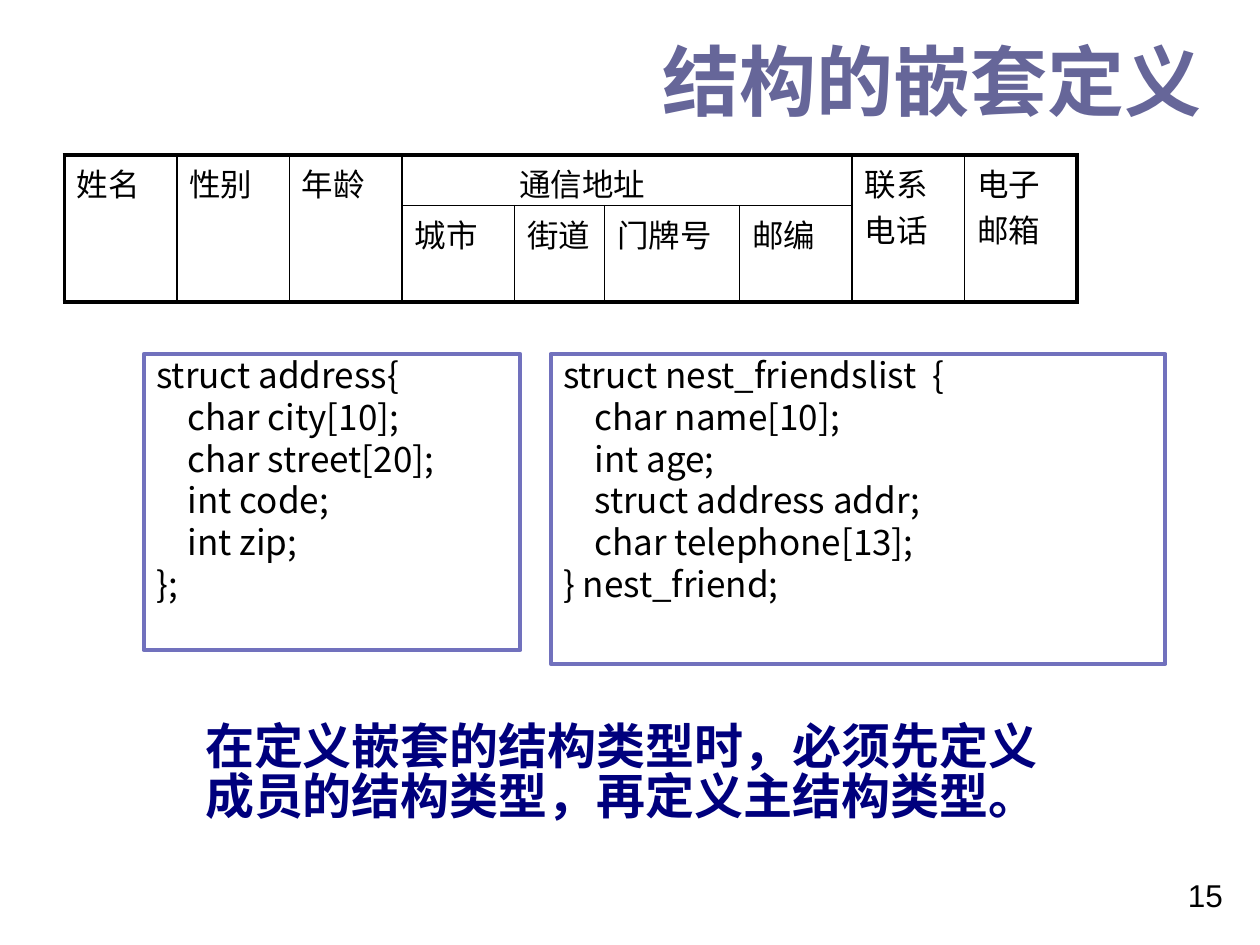
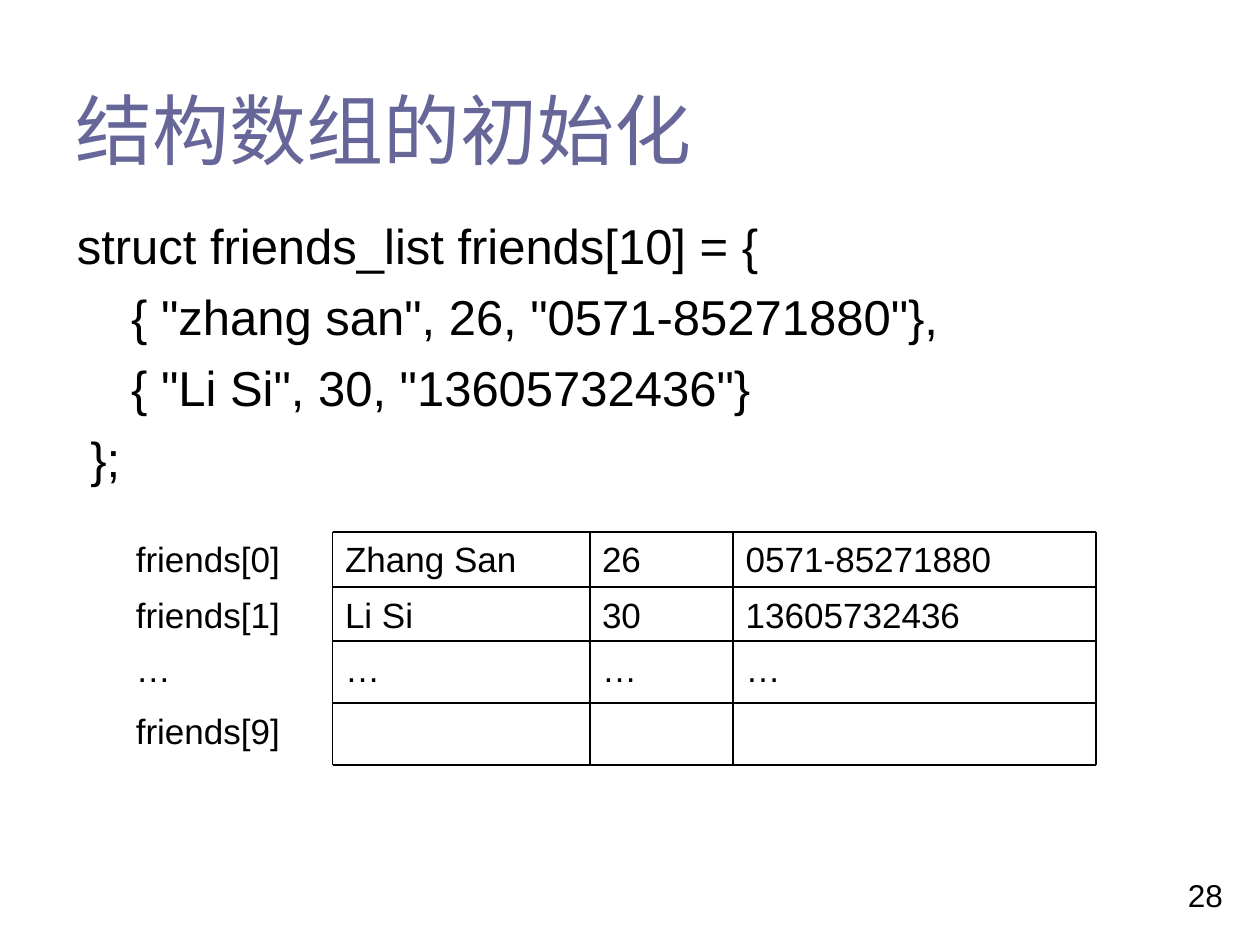
from lxml import etree
from pptx import Presentation
from pptx import util as u
from pptx.dml.color import RGBColor
from pptx.enum import shapes, text
from pptx.oxml.ns import qn

BLACK = RGBColor(0x00, 0x00, 0x00)
WHITE = RGBColor(0xFF, 0xFF, 0xFF)
TITLE_VIOLET = RGBColor(0x66, 0x66, 0x99)
FRAME_VIOLET = RGBColor(0x71, 0x71, 0xBD)
NOTICE_BLUE = RGBColor(0x00, 0x00, 0x7D)
LATIN, CJK = "Arial", "Noto Sans CJK SC"

TITLE = {"size": u.Pt(44), "name": LATIN, "color": TITLE_VIOLET}
LABEL = {"size": u.Pt(18), "name": LATIN, "color": BLACK}
RECORD = {"size": u.Pt(20), "name": LATIN, "color": BLACK}
CODE = {"size": u.Pt(20), "name": CJK, "color": BLACK}
BIG_CODE = {"size": u.Pt(28), "name": LATIN, "color": BLACK}
NOTICE = {"size": u.Pt(28), "name": CJK, "color": NOTICE_BLUE, "bold": True}

deck = Presentation()
deck.slide_width, deck.slide_height = u.Inches(10), u.Inches(7.5)
CELL = deck.slide_width // 100  # the page is a grid of 100 columns by 75 rows


def place(box, left, top, width, height):
    """Put a box on the page grid."""
    values = {"left": left, "top": top, "width": width, "height": height}
    for side, cells in values.items():
        setattr(box, side, round(cells * CELL))
    return box


def write(frame, lines, style, anchor=text.MSO_ANCHOR.TOP, gap=0, spacing=None):
    """Fill a text frame with unbulleted, left-aligned lines."""
    frame.word_wrap = True
    frame.auto_size = text.MSO_AUTO_SIZE.NONE
    frame.vertical_anchor = anchor
    for number, line in enumerate(lines):
        para = frame.add_paragraph() if number else frame.paragraphs[0]
        props = para._p.get_or_add_pPr()
        props.set("marL", "0")
        props.set("indent", "0")
        etree.SubElement(props, qn("a:buNone"))
        para.alignment = text.PP_ALIGN.LEFT
        para.space_before = u.Pt(gap if number else 0)
        if spacing:
            para.line_spacing = spacing
        span = para.add_run()
        span.text = line
        for key, value in style.items():
            if key == "color":
                span.font.color.rgb = value
            else:
                setattr(span.font, key, value)
        asian = etree.SubElement(span._r.get_or_add_rPr(), qn("a:ea"))
        asian.set("typeface", CJK)


# Titles and page numbers
pages = []
for heading, spot, bold, number in (
    ("结构的嵌套定义", (51.6, 2.1, 46.5, 8.5), True, "15"),
    ("结构数组的初始化", (5, 5, 84.4, 10.5), False, "28"),
):
    page = deck.slides.add_slide(deck.slide_layouts[1])
    title = place(page.shapes.title, *spot)
    write(title.text_frame, [heading], TITLE | {"bold": bold}, text.MSO_ANCHOR.MIDDLE)
    number_box = place(page.shapes.add_textbox(0, 0, 0, 0), 93.3, 69, 5.5, 4)
    write(number_box.text_frame, [number], LABEL)
    pages.append(page)
nested, initial = pages

# Nested structure: header table, as (label, row, column, rows, columns)
headings = (
    ("姓名", 0, 0, 2, 1), ("性别", 0, 1, 2, 1), ("年龄", 0, 2, 2, 1),
    ("通信地址", 0, 3, 1, 4), ("联系电话", 0, 7, 2, 1), ("电子邮箱", 0, 8, 2, 1),
    ("城市", 1, 3, 1, 1), ("街道", 1, 4, 1, 1), ("门牌号", 1, 5, 1, 1), ("邮编", 1, 6, 1, 1),
)
column_shares = (1, 1, 1, 1, 0.8, 1.2, 1, 1, 1)
row_cells = (4, 7)
row_count, column_count = len(row_cells), len(column_shares)
holder = nested.shapes.add_table(row_count, column_count, 0, 0, CELL, CELL)
place(holder, 5.1, 12.3, 80.4, sum(row_cells))
table = holder.table
table.first_row = table.horz_banding = False
for column, share in zip(table.columns, column_shares):
    column.width = round(80.4 * CELL * share / sum(column_shares))
for row, cells in zip(table.rows, row_cells):
    row.height = cells * CELL

for label, top, left, rows, columns in headings:
    bottom, right = top + rows, left + columns
    origin = table.cell(top, left)
    if rows * columns > 1:
        origin.merge(table.cell(bottom - 1, right - 1))
    edges = {
        "a:lnL": left == 0, "a:lnR": right == column_count,
        "a:lnT": top == 0, "a:lnB": bottom == row_count,
    }
    for r in range(top, bottom):
        for c in range(left, right):
            cell = table.cell(r, c)
            cell.margin_top, cell.margin_bottom = u.Inches(0.04), 0
            cell.fill.background()
            first = (r, c) == (top, left)
            touching = (c == left, c == right - 1, r == top, r == bottom - 1)
            props = cell._tc.get_or_add_tcPr()
            shown = [edge for edge, near in zip(edges, touching) if near or first]
            for place_in_order, edge in enumerate(shown):
                line = etree.Element(qn(edge), w=str(u.Pt(2.25 if edges[edge] else 1)))
                fill = etree.SubElement(line, qn("a:solidFill"))
                etree.SubElement(fill, qn("a:srgbClr"), val=str(BLACK))
                props.insert(place_in_order, line)
    if columns > 1:
        origin.margin_left = u.Inches(0.93)
    write(origin.text_frame, [label], LABEL)

# Nested structure: the two definitions
address_code = (
    "struct address{",
    "    char city[10];",
    "    char street[20];",
    "    int code;",
    "    int zip;",
    "};",
)
friend_code = (
    "struct nest_friendslist  {",
    "    char name[10];",
    "    int age;",
    "    struct address addr;",
    "    char telephone[13];",
    "} nest_friend;",
)
friend_box = nested.shapes.add_shape(shapes.MSO_SHAPE.RECTANGLE, 0, 0, 0, 0)
friend_box.shadow.inherit = False
for box, code, left, width, height in (
    (nested.placeholders[1], address_code, 11.4, 29.9, 23.5),
    (friend_box, friend_code, 43.7, 48.8, 24.6),
):
    place(box, left, 28.1, width, height)
    box.fill.background()
    box.line.color.rgb = FRAME_VIOLET
    box.line.width = u.Pt(2.25)
    write(box.text_frame, code, CODE, gap=3.4, spacing=0.85)

# Nested structure: the rule to remember
notice = nested.shapes.add_shape(shapes.MSO_SHAPE.RECTANGLE, 0, 0, 0, 0)
place(notice, 15.3, 56.4, 70.1, 10.2)
notice.shadow.inherit = False
notice.fill.solid()
notice.fill.fore_color.rgb = WHITE
notice.line.fill.background()
rule = "在定义嵌套的结构类型时，必须先定义成员的结构类型，再定义主结构类型。"
write(notice.text_frame, [rule], NOTICE, text.MSO_ANCHOR.MIDDLE, spacing=0.85)

# Array initialisation: code
array_code = (
    "struct friends_list friends[10] = {",
    '    { "zhang san", 26, "0571-85271880"},',
    '    { "Li Si", 30, "13605732436"}',
    " };",
)
body = place(initial.placeholders[1], 5.1, 16.6, 89, 25.2)
write(body.text_frame, array_code, BIG_CODE, gap=7)

# Array initialisation: memory grid, with the index column left of the rules
column_lines = (9.8, 26.4, 46.8, 58.2, 87)
row_lines = (42.2, 46.6, 50.9, 55.8, 60.7)
records = (
    ("friends[0]", "Zhang San", "26", "0571-85271880"),
    ("friends[1]", "Li Si", "30", "13605732436"),
    ("…", "…", "…", "…"),
    ("friends[9]",),
)
for record, top, bottom in zip(records, row_lines, row_lines[1:]):
    for value, left, right in zip(record, column_lines, column_lines[1:]):
        box = initial.shapes.add_textbox(0, 0, 0, 0)
        place(box, left, top, right - left, bottom - top)
        write(box.text_frame, [value], RECORD)

rules = [(column_lines[1], y, column_lines[-1], y) for y in row_lines]
rules += [(x, row_lines[0], x, row_lines[-1]) for x in column_lines[1:]]
for ends in rules:
    rule_line = initial.shapes.add_connector(
        shapes.MSO_CONNECTOR.STRAIGHT, *(round(end * CELL) for end in ends))
    rule_line.line.color.rgb = BLACK
    rule_line.line.width = u.Pt(1)
    etree.SubElement(rule_line._element.spPr, qn("a:effectLst"))

deck.save("out.pptx")
